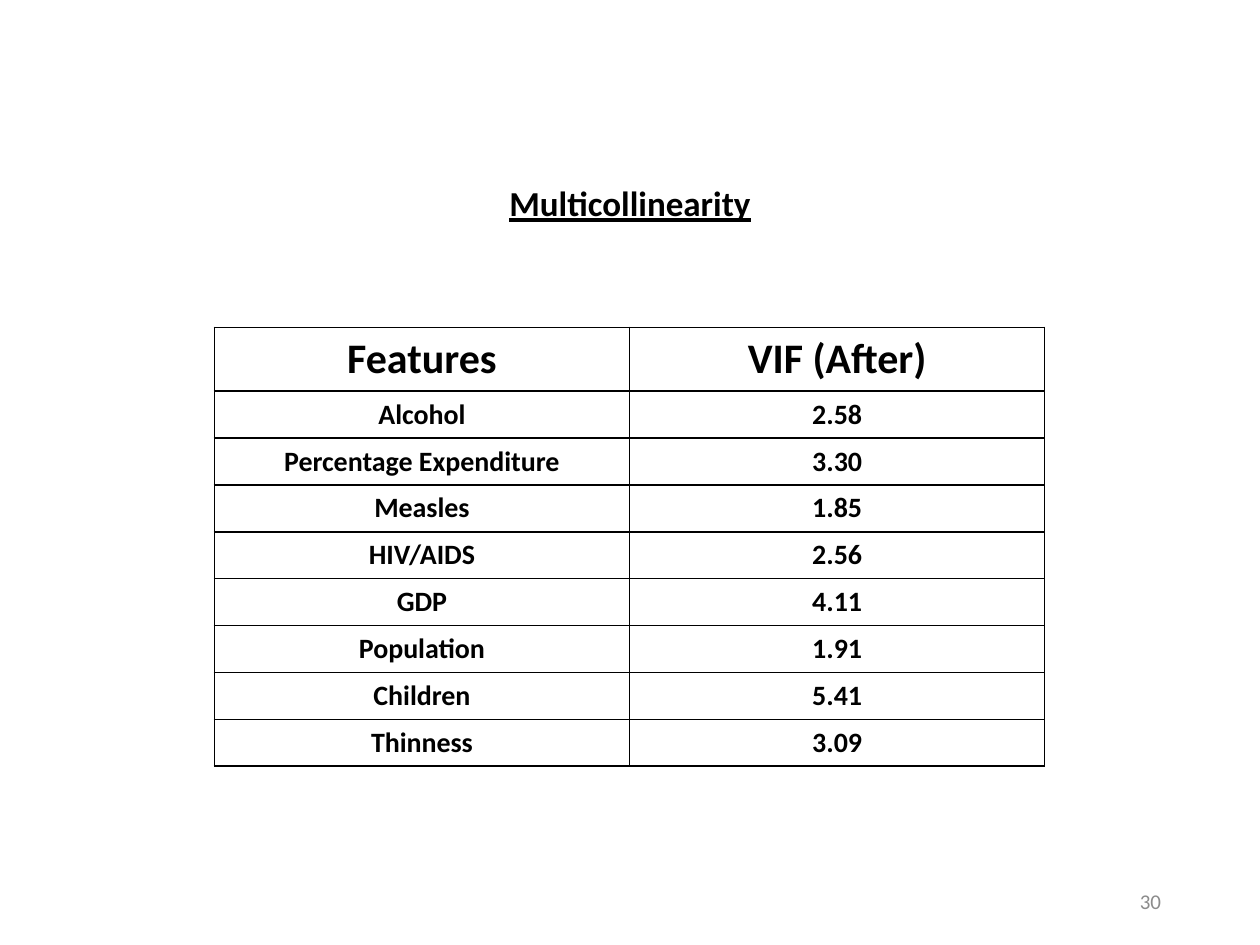
from lxml.etree import SubElement
from pptx import Presentation
from pptx.dml.color import RGBColor
from pptx.enum.text import MSO_ANCHOR, PP_ALIGN
from pptx.oxml.ns import qn
from pptx.util import Pt

BLACK = RGBColor(0, 0, 0)
GRAY = RGBColor(0x8C, 0x8C, 0x8C)
WHITE = RGBColor(255, 255, 255)
ROWS = [
    ("Features", "VIF (After)"),
    ("Alcohol", "2.58"),
    ("Percentage Expenditure", "3.30"),
    ("Measles", "1.85"),
    ("HIV/AIDS", "2.56"),
    ("GDP", "4.11"),
    ("Population", "1.91"),
    ("Children", "5.41"),
    ("Thinness", "3.09"),
]


def style(para, size, color, align, bold=False):
    para.alignment = align
    font = para.font
    font.name, font.size, font.bold = "Calibri", Pt(size), bold
    font.color.rgb = color


def border(cell):
    """Draw a 1 pt black line on all four sides of the cell."""
    props = cell._tc.get_or_add_tcPr()
    for side in ("lnL", "lnR", "lnT", "lnB"):
        line = SubElement(props, qn(f"a:{side}"), w=str(Pt(1)))
        fill = SubElement(line, qn("a:solidFill"))
        SubElement(fill, qn("a:srgbClr"), val=str(BLACK))


prs = Presentation()
prs.slide_width, prs.slide_height = Pt(720), Pt(540)
slide = prs.slides.add_slide(prs.slide_layouts[5])

# Table
width, height = 237.25, 25.2
frame = slide.shapes.add_table(len(ROWS), 2, Pt(122.5), Pt(187),
                               Pt(2 * width), Pt(len(ROWS) * height))
table = frame.table
for col in table.columns:
    col.width = Pt(width)
for r, row in enumerate(ROWS):
    table.rows[r].height = Pt(height)
    for c, text in enumerate(row):
        cell = table.cell(r, c)
        cell.text = text
        style(cell.text_frame.paragraphs[0], 24 if r == 0 else 16,
              BLACK, PP_ALIGN.CENTER, True)
        border(cell)
        cell.fill.solid()
        cell.fill.fore_color.rgb = WHITE

# Title
title = slide.shapes.title
title.left, title.top = Pt(147.5), Pt(100)
title.width, title.height = Pt(425), Pt(31.5)
title.text_frame.text = "Multicollinearity"
title.text_frame.vertical_anchor = MSO_ANCHOR.TOP
para = title.text_frame.paragraphs[0]
style(para, 20, BLACK, PP_ALIGN.CENTER, True)
para.font.underline = True

# Page number
page = slide.shapes.add_textbox(Pt(508.5), Pt(500.5), Pt(162), Pt(28.75))
page.text_frame.word_wrap = True
page.text_frame.vertical_anchor = MSO_ANCHOR.MIDDLE
page.text_frame.text = "30"
style(page.text_frame.paragraphs[0], 12, GRAY, PP_ALIGN.RIGHT)

prs.save("out.pptx")
